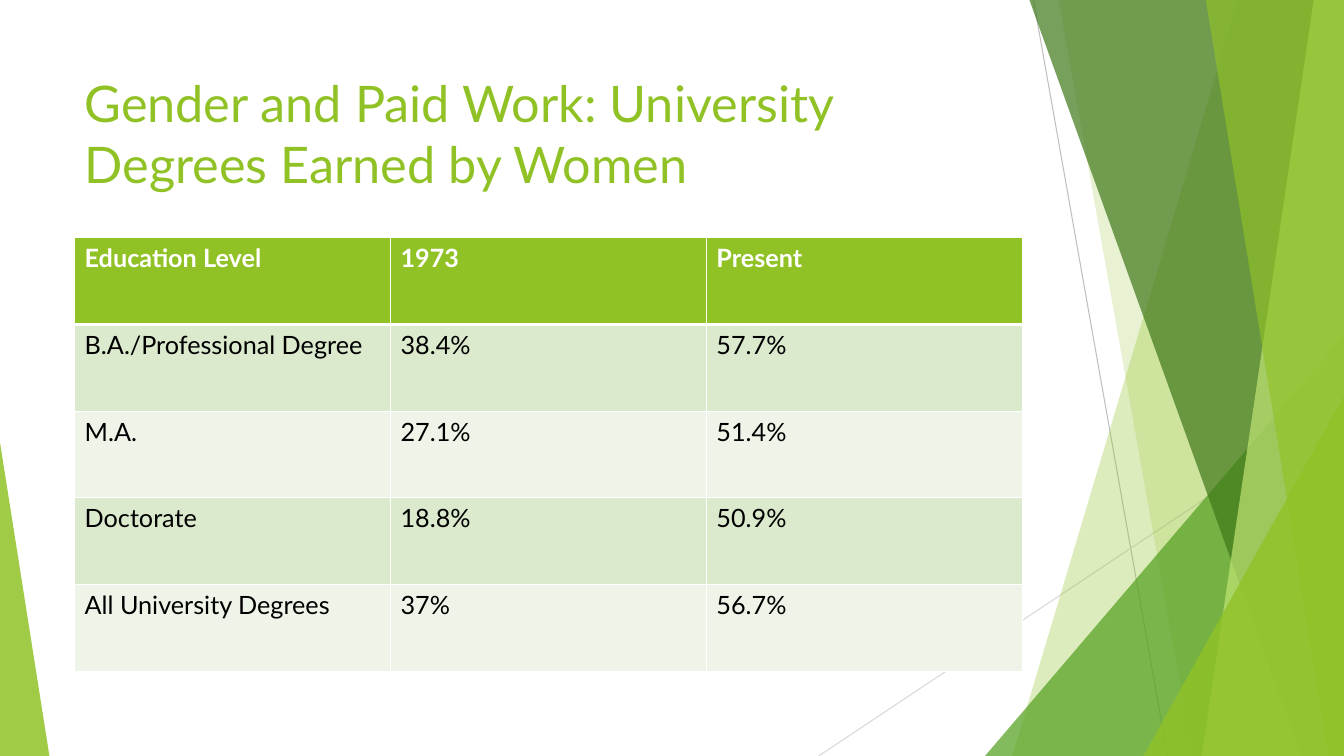
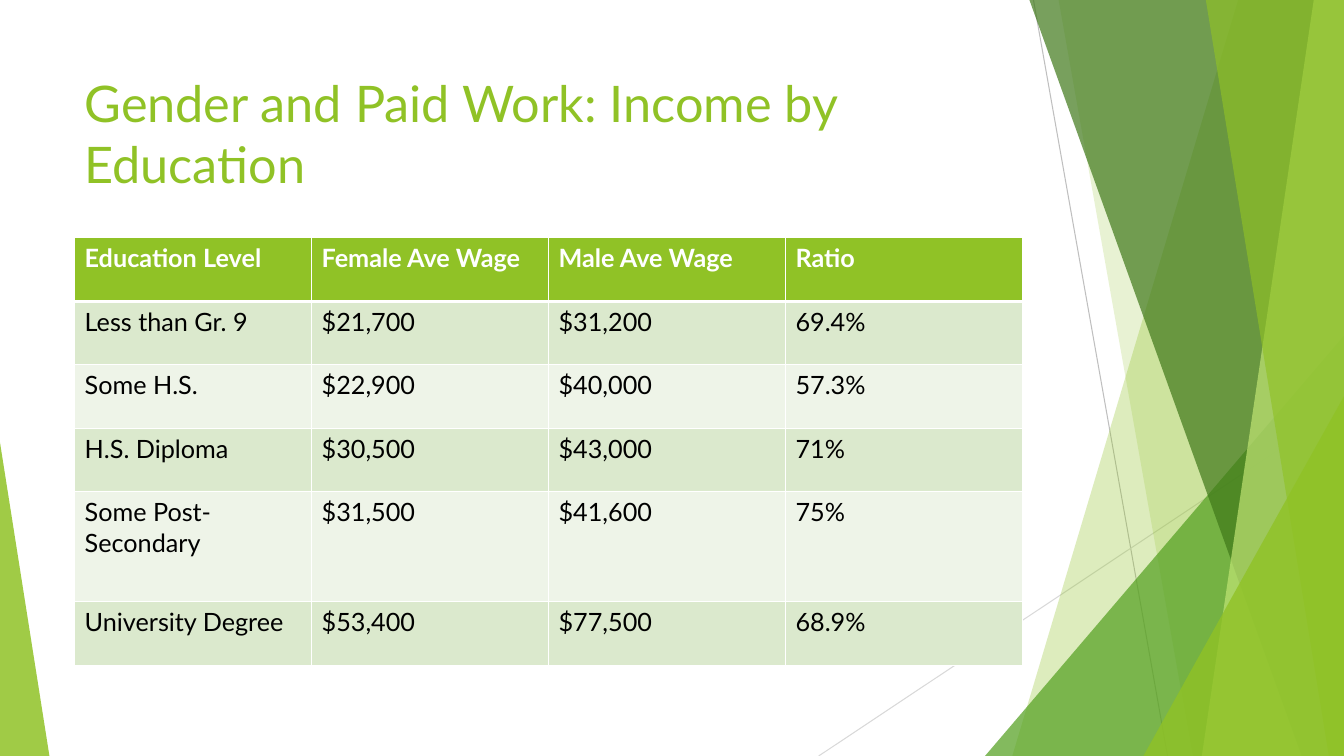
import pptx
import pptx.dml.color
import pptx.enum.shapes
import pptx.enum.text
import pptx.oxml
import pptx.oxml.ns
import pptx.util
import lxml.etree

PX = 9144  # 100 px to the inch
WIDTH, HEIGHT = 1333, 750
LEFT, CONTENT_WIDTH = 74, 940
TITLE_TOP, TITLE_HEIGHT, TABLE_TOP = 67, 144, 236
FONT = "Lato"
GREEN, MID_GREEN, DARK_GREEN, LIME = "90C226", "54A021", "3F7819", "C0E474"
ROW_TINTS = ["EEF4E8", "DBE9CD"]
WHITE, BLACK = "FFFFFF", "000000"

# Thin lines: start x, start y, end x, end y, colour
THIN_LINES = [
    (1025, 0, 1158, HEIGHT, "BFBFBF"),
    (WIDTH, 403, 812, HEIGHT, "D9D9D9"),
]

# Translucent facets, back to front: kind, two measures, colour, opacity %
# band: left edge at top and bottom; right corner: left and top;
# left corner: width and top
FACETS = [
    ("band", 1228, 1004, GREEN, 30),
    ("band", 1050, 1183, GREEN, 20),
    ("right corner", 977, 333, MID_GREEN, 72),
    ("band", 1021, 1291, DARK_GREEN, 70),
    ("band", 1303, 1192, LIME, 70),
    ("band", 1196, 1318, GREEN, 65),
    ("right corner", 1134, 393, GREEN, 80),
    ("left corner", 49, 439, GREEN, 85),
]

# Slides: title, row heights, table rows
SLIDES = [
    ("Gender and Paid Work: University Degrees Earned by Women",
     [86] * 5,
     [("Education Level", "1973", "Present"),
      ("B.A./Professional Degree", "38.4%", "57.7%"),
      ("M.A.", "27.1%", "51.4%"),
      ("Doctorate", "18.8%", "50.9%"),
      ("All University Degrees", "37%", "56.7%")]),
    ("Gender and Paid Work: Income by Education",
     [63, 63, 63, 63, 109, 63],
     [("Education Level", "Female Ave Wage", "Male Ave Wage", "Ratio"),
      ("Less than Gr. 9", "$21,700", "$31,200", "69.4%"),
      ("Some H.S.", "$22,900", "$40,000", "57.3%"),
      ("H.S. Diploma", "$30,500", "$43,000", "71%"),
      ("Some Post-Secondary", "$31,500", "$41,600", "75%"),
      ("University Degree", "$53,400", "$77,500", "68.9%")]),
]


def rgb(colour):
    return pptx.dml.color.RGBColor.from_string(colour)


def set_font(font, size, colour, bold=False):
    font.name, font.size, font.bold = FONT, pptx.util.Pt(size), bold
    font.color.rgb = rgb(colour)


presentation = pptx.Presentation()
presentation.slide_width, presentation.slide_height = WIDTH * PX, HEIGHT * PX
qn = pptx.oxml.ns.qn

for title, row_heights, rows in SLIDES:
    slide = presentation.slides.add_slide(presentation.slide_layouts[6])

    # Thin lines behind the facets
    for x1, y1, x2, y2, colour in THIN_LINES:
        thin_line = slide.shapes.add_connector(
            pptx.enum.shapes.MSO_CONNECTOR.STRAIGHT,
            x1 * PX, y1 * PX, x2 * PX, y2 * PX)
        thin_line.line.color.rgb = rgb(colour)
        thin_line.line.width = pptx.util.Pt(0.75)
        lxml.etree.SubElement(thin_line._element.spPr, qn("a:effectLst"))

    # Green facets
    for kind, first, second, colour, opacity in FACETS:
        if kind == "band":
            outline = slide.shapes.build_freeform(first, 0, scale=PX)
            outline.add_line_segments(
                [(WIDTH, 0), (WIDTH, HEIGHT), (second, HEIGHT)], close=True)
            facet = outline.convert_to_shape()
        else:
            at_right = kind == "right corner"
            left, width = (first, WIDTH - first) if at_right else (0, first)
            facet = slide.shapes.add_shape(
                pptx.enum.shapes.MSO_SHAPE.ISOSCELES_TRIANGLE,
                left * PX, second * PX, width * PX, (HEIGHT - second) * PX)
            facet.adjustments[0] = 1 if at_right else 0
        facet.shadow.inherit = False
        facet.line.fill.background()
        facet.fill.solid()
        facet.fill.fore_color.rgb = rgb(colour)
        tint = facet._element.spPr.find(qn("a:solidFill"))[0]
        lxml.etree.SubElement(tint, qn("a:alpha"), val=str(opacity * 1000))

    # Title
    heading = slide.shapes.add_textbox(
        LEFT * PX, TITLE_TOP * PX, CONTENT_WIDTH * PX, TITLE_HEIGHT * PX)
    heading.text_frame.word_wrap = True
    heading.text_frame.vertical_anchor = pptx.enum.text.MSO_ANCHOR.TOP
    heading.text_frame.text = title
    set_font(heading.text_frame.paragraphs[0].runs[0].font, 36, GREEN)

    # Table
    column_count = len(rows[0])
    table = slide.shapes.add_table(
        len(rows), column_count, LEFT * PX, TABLE_TOP * PX,
        CONTENT_WIDTH * PX, sum(row_heights) * PX).table
    for column in table.columns:
        column.width = CONTENT_WIDTH * PX // column_count
    for row_index, (height, values) in enumerate(zip(row_heights, rows)):
        table.rows[row_index].height = height * PX
        is_header = row_index == 0
        for column_index, value in enumerate(values):
            cell = table.cell(row_index, column_index)
            cell.text_frame.text = value
            set_font(cell.text_frame.paragraphs[0].runs[0].font, 18,
                     WHITE if is_header else BLACK, is_header)
            # White borders, thicker under the header
            for side in "LRTB":
                thick = (row_index, side) in [(0, "B"), (1, "T")]
                border = lxml.etree.SubElement(
                    cell._tc.get_or_add_tcPr(), qn("a:ln" + side),
                    w=str(pptx.util.Pt(3 if thick else 1)))
                paint = lxml.etree.SubElement(border, qn("a:solidFill"))
                lxml.etree.SubElement(paint, qn("a:srgbClr"), val=WHITE)
            cell.fill.solid()
            cell.fill.fore_color.rgb = rgb(
                GREEN if is_header else ROW_TINTS[row_index % 2])

presentation.save("out.pptx")
